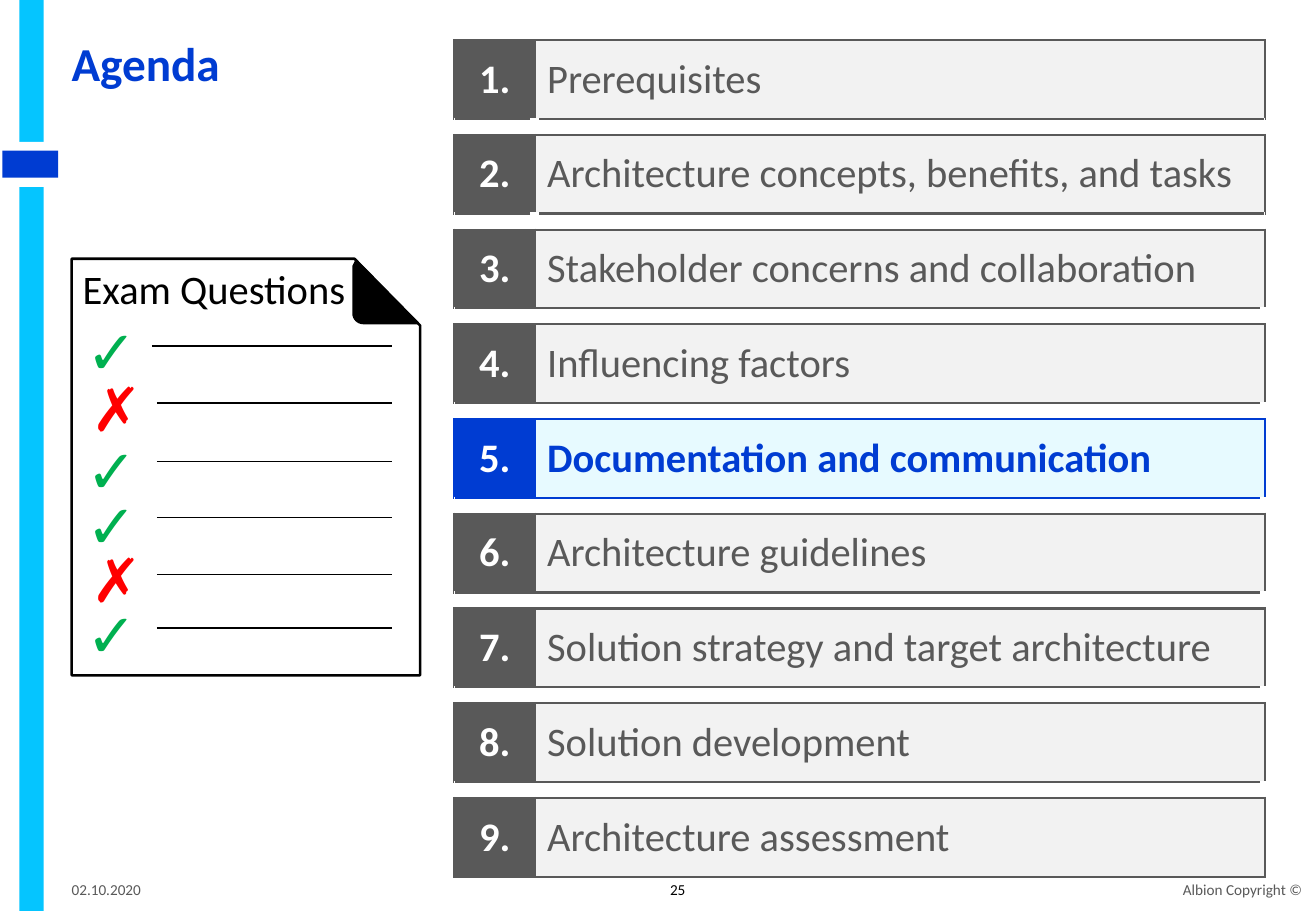
from math import cos, pi, sin

from lxml.etree import SubElement
from pptx import Presentation
from pptx.dml.color import RGBColor
from pptx.enum.shapes import MSO_CONNECTOR as Connector, MSO_SHAPE as Preset
from pptx.enum.text import MSO_ANCHOR as Anchor, MSO_AUTO_SIZE as AutoSize, PP_ALIGN as Align
from pptx.oxml import parse_xml
from pptx.oxml.ns import nsdecls, qn
from pptx.util import Pt

COLORS = {
    "bar": "05C5FF", "blue": "003CD2", "pale": "E7FAFF", "grey": "595959",
    "light": "F2F2F2", "white": "FFFFFF", "black": "000000",
    "right": "00B050", "wrong": "FF0000",
}
TOPICS = [
    "Prerequisites",
    "Architecture concepts, benefits, and tasks",
    "Stakeholder concerns and collaboration",
    "Influencing factors",
    "Documentation and communication",
    "Architecture guidelines",
    "Solution strategy and target architecture",
    "Solution development",
    "Architecture assessment",
]
CURRENT_TOPIC = 4
SPLIT_GAPS = 2  # the first gaps keep two cells, the others are merged
TOPIC_HEIGHT, GAP_HEIGHT = 46.6, 9.6

# Mark, top of the mark, height and start of its answer line
ANSWERS = [
    ("✓", 185.8, 205.2, 90), ("✗", 219.6, 239, 93), ("✓", 256.3, 273.6, 93),
    ("✓", 289.4, 306.7, 93), ("✗", 321.1, 340.6, 93), ("✓", 353.5, 372.2, 93),
]
# Colour, left and width for each mark
MARKS = {"✓": ("right", 51.1, 28.8), "✗": ("wrong", 54, 23.8)}


def color(name):
    return RGBColor.from_string(COLORS[name])


class AgendaSlide:
    font = "Calibri"

    def __init__(self, presentation):
        self.slide = presentation.slides.add_slide(presentation.slide_layouts[6])
        self.shapes = self.slide.shapes

    def paint(self, shape, fill, line=None):
        shape.shadow.inherit = False
        shape.fill.solid()
        shape.fill.fore_color.rgb = color(fill)
        if line:
            shape.line.color.rgb = color(line)
            shape.line.width = Pt(1.5)
        else:
            shape.line.fill.background()

    def rectangle(self, left, top, width, height, fill):
        shape = self.shapes.add_shape(Preset.RECTANGLE, Pt(left), Pt(top), Pt(width), Pt(height))
        self.paint(shape, fill)

    def outline(self, points, fill, line=None):
        start, *others = [(Pt(x), Pt(y)) for x, y in points]
        builder = self.shapes.build_freeform(*start)
        builder.add_line_segments(others)
        self.paint(builder.convert_to_shape(), fill, line)

    def line(self, left, right, height):
        connector = self.shapes.add_connector(
            Connector.STRAIGHT, Pt(left), Pt(height), Pt(right), Pt(height))
        connector.line.color.rgb = color("black")
        connector.line.width = Pt(1)
        SubElement(connector._element.spPr, qn("a:effectLst"))

    def words(self, paragraph, text, size, ink, bold=False, align=Align.LEFT):
        paragraph.alignment = align
        run = paragraph.add_run()
        run.text = text
        formats = {"name": self.font, "size": Pt(size), "bold": bold}
        for name, value in formats.items():
            setattr(run.font, name, value)
        run.font.color.rgb = color(ink)

    def text(self, text, left, top, width, height, size, ink, bold=False,
             align=Align.LEFT, anchor=Anchor.MIDDLE, wrap=True, spacing=1.0):
        frame = self.shapes.add_textbox(Pt(left), Pt(top), Pt(width), Pt(height)).text_frame
        formats = {
            "margin_left": 0, "margin_top": 0, "margin_right": 0, "margin_bottom": 0,
            "word_wrap": wrap, "vertical_anchor": anchor,
            "auto_size": AutoSize.NONE if wrap else AutoSize.SHAPE_TO_FIT_TEXT,
        }
        for name, value in formats.items():
            setattr(frame, name, value)
        paragraph = frame.paragraphs[0]
        paragraph.line_spacing = spacing
        self.words(paragraph, text, size, ink, bold, align)

    def cell(self, cell, fill, borders, margins=(0, 0)):
        side, end = margins
        formats = {
            "margin_left": Pt(side), "margin_right": Pt(side),
            "margin_top": Pt(end), "margin_bottom": Pt(end),
            "vertical_anchor": Anchor.MIDDLE,
        }
        for name, value in formats.items():
            setattr(cell, name, value)
        cell.fill.solid()
        cell.fill.fore_color.rgb = color(fill)
        properties = cell._tc.get_or_add_tcPr()
        for index, (edge, (ink, width)) in enumerate(zip("LRTB", borders)):
            properties.insert(index, parse_xml(
                f'<a:ln{edge} {nsdecls("a")} w="{Pt(width)}"><a:solidFill>'
                f'<a:srgbClr val="{COLORS[ink]}"/></a:solidFill></a:ln{edge}>'))

    def topic_row(self, cells, index):
        current = index == CURRENT_TOPIC
        ink = "blue" if current else "grey"
        borders = [(ink, 1.5)] * 4
        for cell, fill in zip(cells, (ink, "pale" if current else "light")):
            self.cell(cell, fill, borders, (7.2, 8.6))
        number, title = (cell.text_frame.paragraphs[0] for cell in cells)
        self.words(number, f"{index + 1}.", 24, "white", True, Align.CENTER)
        self.words(title, TOPICS[index], 24, ink, current)

    def gap_row(self, cells, index):
        above = "blue" if index == CURRENT_TOPIC else "grey"
        below = "blue" if index + 1 == CURRENT_TOPIC else "grey"
        level = [(above, 1.5), (below, 1.5)]
        outer, inner = ("white", 1), ("white", 6)
        for cell, sides in zip(cells, ([outer, inner], [inner, outer])):
            self.cell(cell, "white", sides + level)
            paragraph = cell.text_frame.paragraphs[0]
            paragraph._p.get_or_add_endParaRPr().set("sz", "100")
        if index >= SPLIT_GAPS:
            cells[0].merge(cells[1])

    def agenda(self, left, top, widths):
        count = 2 * len(TOPICS) - 1
        height = len(TOPICS) * TOPIC_HEIGHT + (len(TOPICS) - 1) * GAP_HEIGHT
        table = self.shapes.add_table(
            count, 2, Pt(left), Pt(top), Pt(sum(widths)), Pt(height)).table
        table.first_row = table.horz_banding = False
        for column, width in zip(table.columns, widths):
            column.width = Pt(width)
        for number, row in enumerate(table.rows):
            index, is_gap = divmod(number, 2)
            row.height = Pt(GAP_HEIGHT if is_gap else TOPIC_HEIGHT)
            fill_row = self.gap_row if is_gap else self.topic_row
            fill_row(list(row.cells), index)

    def exam_sheet(self):
        self.outline([(42.5, 153.4), (210.2, 153.4), (249.1, 193), (249.1, 400.3),
                      (42.5, 400.3)], "white", "black")
        # Folded corner with one rounded edge
        radius, center_x, center_y = 6.5, 215.3, 185.7
        angles = [pi / 2 + step * pi / 16 for step in range(9)]
        bend = [(center_x + radius * cos(a), center_y + radius * sin(a)) for a in angles]
        self.outline([(211, 153.4), (248.4, 192.2), *bend, (208.8, 157.7)], "black")
        self.text("Exam Questions", 49, 156.2, 157.7, 29, 24, "black",
                  anchor=Anchor.TOP, wrap=False)
        for mark, top, height, start in ANSWERS:
            ink, left, width = MARKS[mark]
            self.line(start, 232.6, height)
            self.text(mark, left, top, width, 43.9, 36, ink, anchor=Anchor.TOP, wrap=False)


def main():
    presentation = Presentation()
    presentation.slide_width, presentation.slide_height = Pt(780), Pt(540)
    page = AgendaSlide(presentation)

    # Side bar with a plain emblem
    page.rectangle(11.5, 0, 14.4, 540, "bar")
    page.rectangle(0, 84.2, 35.3, 26.6, "white")
    page.rectangle(1.5, 89.3, 33, 16, "blue")

    # Title and footer
    page.text("Agenda", 42.5, 5.8, 720, 67, 28, "blue", bold=True, spacing=0.9)
    page.text("02.10.2020", 42.5, 518.4, 175.7, 18, 9, "grey")
    page.text("25", 313.9, 518.4, 175.7, 18, 9, "black", align=Align.CENTER)
    page.text("Albion Copyright ©", 508.2, 518.4, 263.5, 18, 9, "grey", align=Align.RIGHT)

    # Agenda table and exam sheet
    page.agenda(269.3, 23.8, (47.8, 432.5))
    page.exam_sheet()
    presentation.save("out.pptx")


if __name__ == "__main__":
    main()
